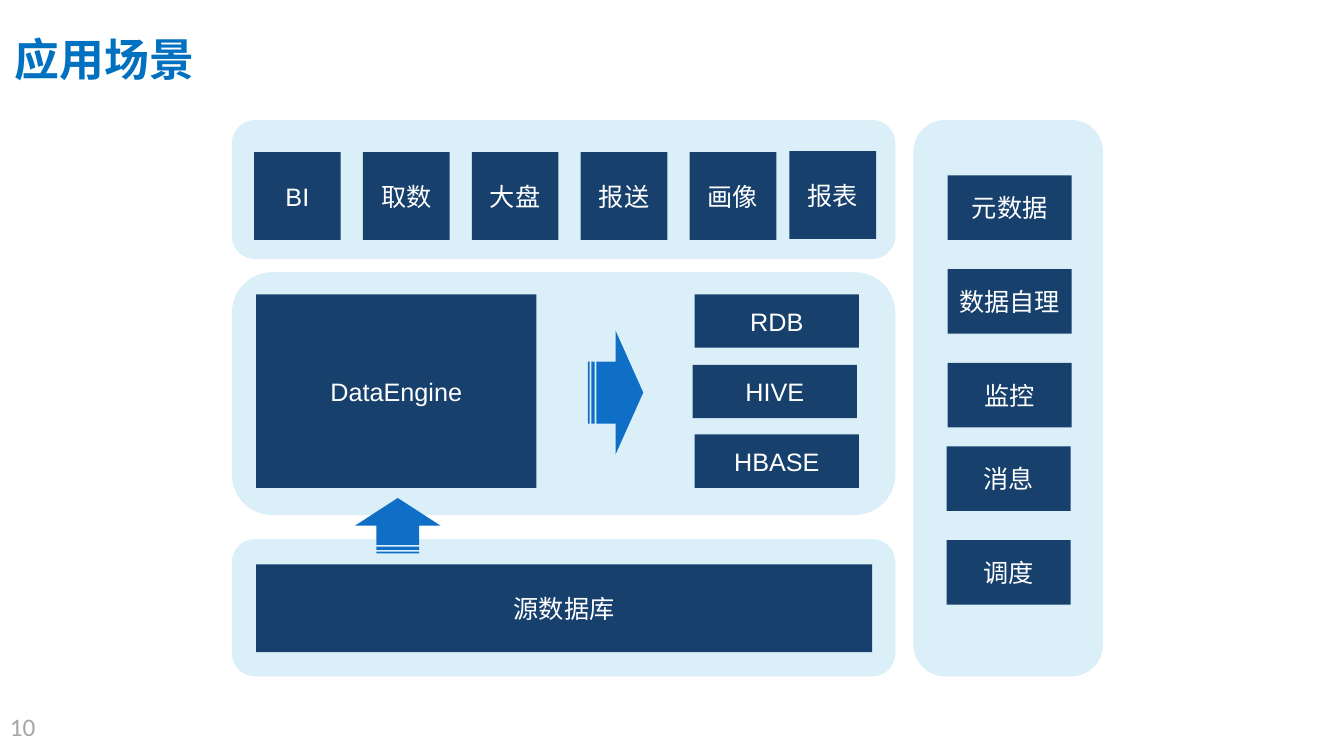
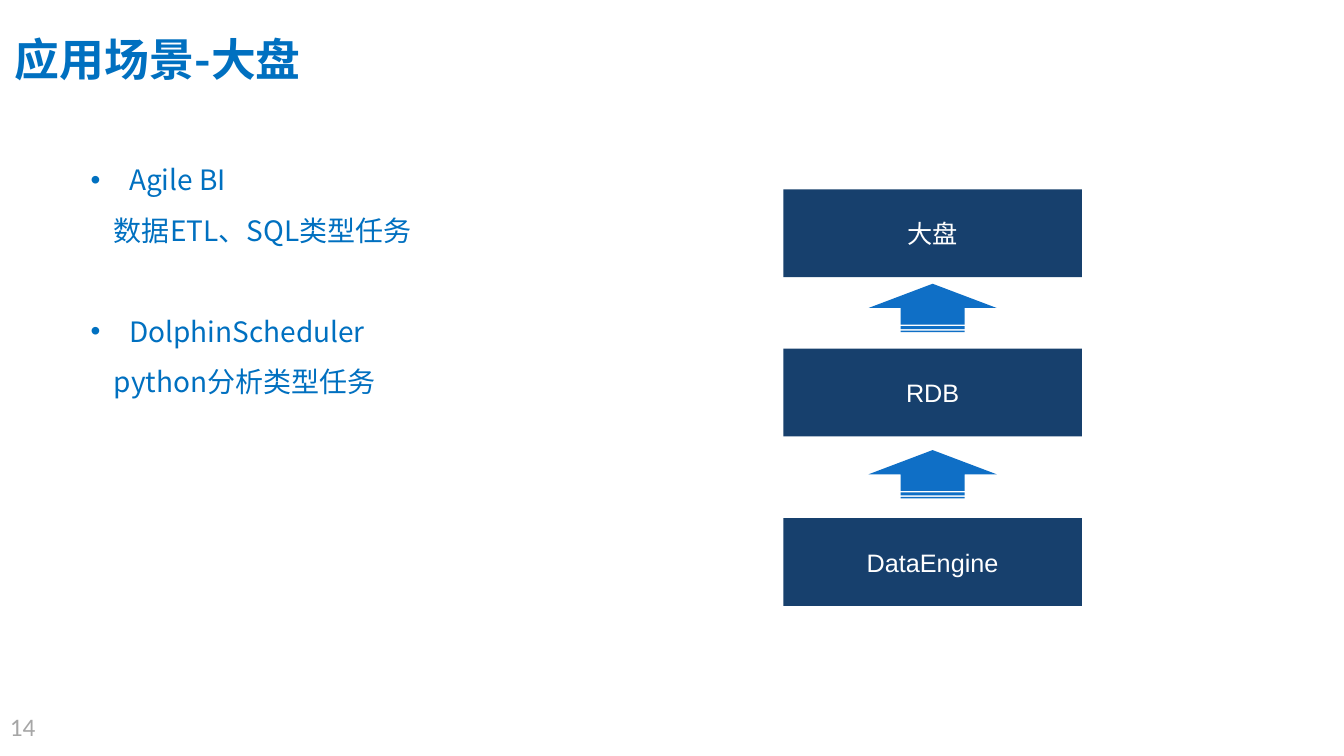
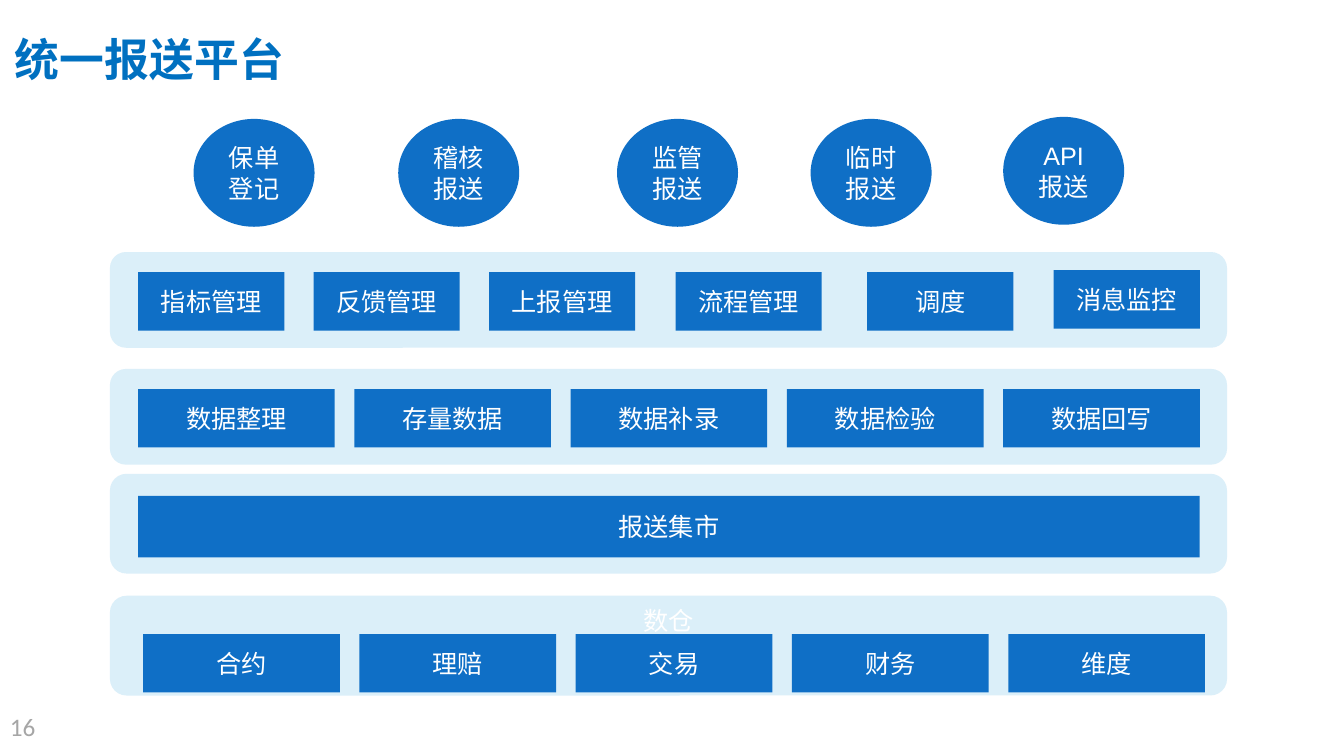
from lxml import etree
from pptx import Presentation
from pptx.dml.color import RGBColor
from pptx.enum.shapes import MSO_SHAPE
from pptx.enum.text import MSO_ANCHOR, PP_ALIGN
from pptx.oxml.ns import qn
from pptx.util import Pt

PX = 9144
RECT, ROUND, OVAL = MSO_SHAPE.RECTANGLE, MSO_SHAPE.ROUNDED_RECTANGLE, MSO_SHAPE.OVAL
ARROW = MSO_SHAPE.STRIPED_RIGHT_ARROW
TOP, MIDDLE = MSO_ANCHOR.TOP, MSO_ANCHOR.MIDDLE
LEFT, CENTER = PP_ALIGN.LEFT, PP_ALIGN.CENTER

WHITE = RGBColor(0xFF, 0xFF, 0xFF)
PALE = RGBColor(0xDB, 0xEF, 0xF9)
NAVY = RGBColor(0x17, 0x40, 0x6D)
BLUE = RGBColor(0x0F, 0x6F, 0xC6)
TITLE = RGBColor(0x00, 0x70, 0xC0)
GREY = RGBColor(0xA6, 0xA6, 0xA6)

LABEL = {"name": "Arial", "size": Pt(18)}
HEAD = {"name": "Noto Sans CJK SC", "size": Pt(32), "bold": True}
BODY = {"name": "Noto Sans CJK SC", "size": Pt(20)}
PAGE = {"name": "Calibri", "size": Pt(18)}


def apply(item, form):
    """Set each attribute named in a dict of format values."""
    for key, value in form.items():
        setattr(item, key, value)


def scale(box):
    """Turn px lengths into EMU."""
    return [value * PX for value in box]


def write(para, text, font, color, form):
    """Fill one paragraph with a styled run."""
    apply(para, form)
    run = para.add_run()
    run.text = text
    apply(run.font, font)
    run.font.color.rgb = color
    east = etree.SubElement(run.font._element, qn("a:ea"))
    east.set("typeface", font["name"])


def note(slide, box, text, font, color, anchor, form):
    """Add a one-line text box."""
    frame = slide.shapes.add_textbox(*scale(box)).text_frame
    apply(frame, {"word_wrap": True, "vertical_anchor": anchor})
    write(frame.paragraphs[0], text, font, color, form)


def block(slide, box, fill, text="", kind=RECT, anchor=MIDDLE, turn=0):
    """Add a flat filled shape with an optional centred label."""
    shape = slide.shapes.add_shape(kind, *scale(box))
    apply(shape, {"rotation": turn})
    shape.shadow.inherit = False
    shape.fill.solid()
    shape.fill.fore_color.rgb = fill
    shape.line.fill.background()
    if text:
        apply(shape.text_frame, {"word_wrap": True, "vertical_anchor": anchor})
        write(shape.text_frame.paragraphs[0], text, LABEL, WHITE, {"alignment": CENTER})


def panel(slide, box, text=""):
    """Add a pale rounded panel and return its corner."""
    block(slide, box, PALE, text, ROUND, TOP)
    return box[:2]


def group(slide, base, size, fill, parts, kind=RECT):
    """Place labelled blocks of one size by offset from a corner."""
    left, top = base
    for text, right, down in parts:
        block(slide, (left + right, top + down, *size), fill, text, kind)


def series(names, start, step):
    """Pair names with evenly stepped offsets."""
    return [(name, start[0] + i * step[0], start[1] + i * step[1])
            for i, name in enumerate(names)]


def page(deck, title, number):
    """Add a slide with the shared title and page number."""
    slide = deck.slides.add_slide(deck.slide_layouts[6])
    note(slide, (5, 35, 855, 54), title, HEAD, TITLE, MIDDLE, {"line_spacing": 0.9})
    note(slide, (0, 701, 300, 40), number, PAGE, GREY, TOP, {"alignment": LEFT})
    return slide


def apps(slide, box):
    """Draw the application row."""
    base = panel(slide, box)
    parts = series(["BI", "取数", "大盘", "报送", "画像"], (22, 32), (108, 0))
    group(slide, base, (86, 87), NAVY, parts + [("报表", 553, 31)])


def engine(slide, box):
    """Draw the compute engine and its target stores."""
    left, top = base = panel(slide, box)
    block(slide, (left + 24, top + 22, 278, 192), NAVY, "DataEngine")
    block(slide, (left + 353, top + 58, 55, 123), BLUE, kind=ARROW)
    stores = [("RDB", 459, 22), ("HIVE", 457, 92), ("HBASE", 459, 161)]
    group(slide, base, (163, 53), NAVY, stores)


def source(slide, box):
    """Draw the source database and the arrow rising from it."""
    left, top = panel(slide, box)
    block(slide, (left + 24, top + 25, 611, 87), NAVY, "源数据库")
    block(slide, (left + 137, top - 56, 55, 85), BLUE, kind=ARROW, turn=270)


def tools(slide, box):
    """Draw the column of supporting services."""
    base = panel(slide, box)
    parts = series(["元数据", "数据自理", "监控"], (34, 55), (0, 93))
    parts += series(["消息", "调度"], (33, 324), (0, 93))
    group(slide, base, (123, 64), NAVY, parts)


def scene(deck):
    """Build the application overview slide."""
    slide = page(deck, "应用场景", "10")
    apps(slide, (230, 119, 658, 138))
    engine(slide, (230, 270, 658, 241))
    source(slide, (230, 535, 658, 136))
    tools(slide, (906, 119, 188, 552))


def bullets(slide, box, items):
    """Write bulleted heads, each with an indented line below."""
    frame = slide.shapes.add_textbox(*scale(box)).text_frame
    apply(frame, {"word_wrap": True, "margin_left": 30 * PX, "margin_top": 0,
                  "margin_right": 0, "margin_bottom": 0})
    lines = [(text, i % 2 == 0) for i, text in enumerate(sum(items, ()))]
    for i, (text, head) in enumerate(lines):
        para = frame.add_paragraph() if i else frame.paragraphs[0]
        props = para._p.get_or_add_pPr()
        props.set("marL", str((38 if head else 23) * PX))
        if head:
            props.set("indent", str(-38 * PX))
            etree.SubElement(props, qn("a:buFont")).set("typeface", "Arial")
            etree.SubElement(props, qn("a:buChar")).set("char", "•")
        gap = Pt(36) if head and i else Pt(0)
        write(para, text, BODY, TITLE, {"line_spacing": Pt(36), "space_before": gap})


def flow(slide, box):
    """Draw three stacked stages joined by rising arrows."""
    left, top, wide, tall = box
    stages = [("大盘", 0, 0), ("RDB", 0, 158), ("DataEngine", 0, 326)]
    group(slide, (left, top), (wide, tall), NAVY, stages)
    for down in (54, 219):
        block(slide, (left + 124, top + down, 48, 127), BLUE, kind=ARROW, turn=270)


def board(deck):
    """Build the dashboard slide."""
    slide = page(deck, "应用场景-大盘", "14")
    bullets(slide, (60, 145, 600, 300), [
        ("Agile BI", "数据ETL、SQL类型任务"),
        ("DolphinScheduler", "python分析类型任务"),
    ])
    flow(slide, (777, 188, 296, 87))


def band(slide, box, size, parts, text=""):
    """Draw a panel with a row of blocks."""
    group(slide, panel(slide, box, text), size, BLUE, parts)


def hub(deck):
    """Build the reporting platform slide."""
    slide = page(deck, "统一报送平台", "16")
    rounds = [("保单登记", 0, 2), ("稽核报送", 203, 2), ("监管报送", 420, 2),
              ("临时报送", 612, 2), ("API报送", 803, 0)]
    group(slide, (192, 116), (120, 107), BLUE, rounds, OVAL)
    manage = series(["指标管理", "反馈管理", "上报管理"], (28, 20), (174, 0))
    manage += [("流程管理", 561, 20), ("调度", 751, 20), ("消息监控", 936, 18)]
    data = ["数据整理", "存量数据", "数据补录", "数据检验", "数据回写"]
    themes = ["合约", "理赔", "交易", "财务", "维度"]
    band(slide, (109, 250, 1108, 95), (145, 58), manage)
    band(slide, (109, 366, 1108, 95), (195, 58), series(data, (28, 20), (214.5, 0)))
    band(slide, (109, 470, 1108, 99), (1053, 61), [("报送集市", 28, 22)])
    band(slide, (109, 591, 1108, 99), (195, 58), series(themes, (33, 38), (214.5, 0)), "数仓")


def main():
    """Build and save the deck."""
    deck = Presentation()
    apply(deck, {"slide_width": 1333 * PX, "slide_height": 750 * PX})
    for build in (scene, board, hub):
        build(deck)
    deck.save("out.pptx")


if __name__ == "__main__":
    main()
